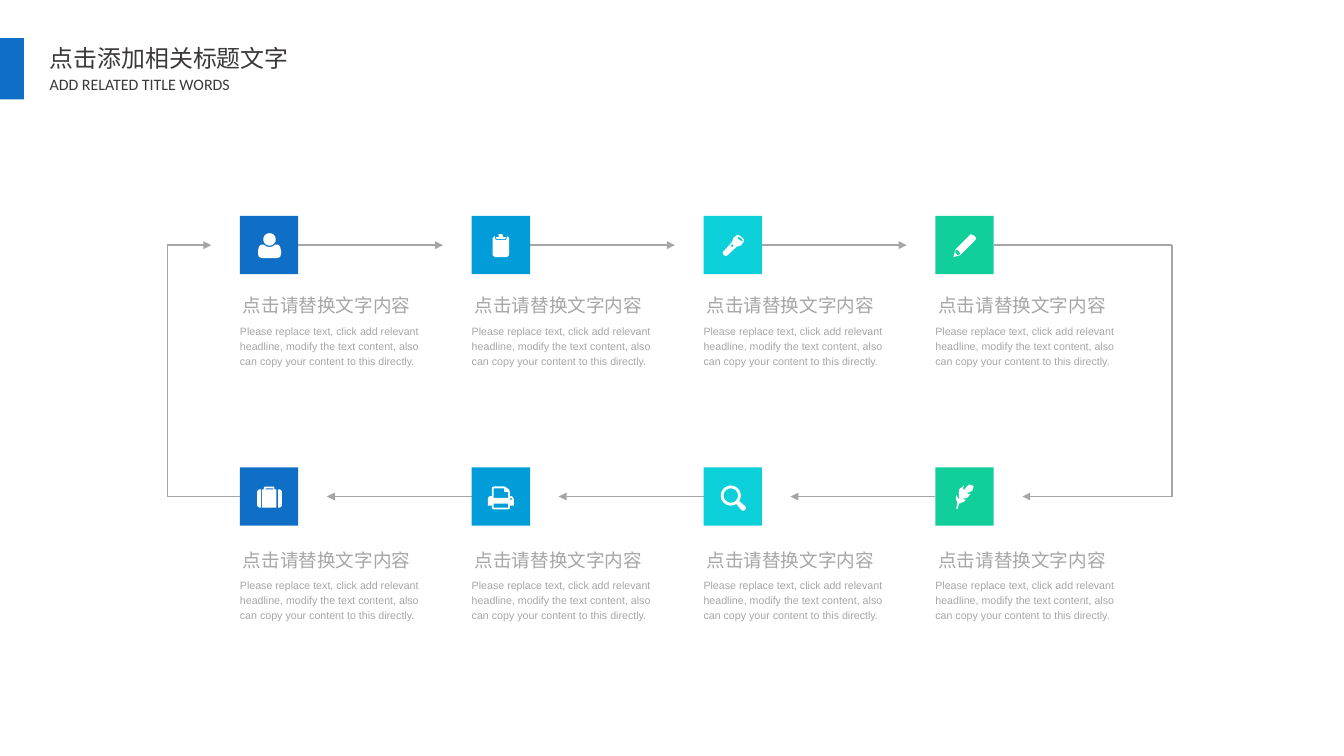
from math import cos, sin, pi

from lxml.etree import SubElement
from pptx import Presentation
from pptx.dml.color import RGBColor
from pptx.enum.shapes import MSO_CONNECTOR, MSO_SHAPE
from pptx.oxml.ns import qn
from pptx.util import Inches, Pt

TITLE = "点击添加相关标题文字"
SUBTITLE = "ADD RELATED TITLE WORDS"
HEAD = "点击请替换文字内容"
BODY = ("Please replace text, click add relevant headline, modify the text "
        "content, also can copy your content to this directly.")

BLUE = RGBColor(0x0F, 0x6F, 0xC6)
SKY = RGBColor(0x00, 0x9D, 0xD9)
CYAN = RGBColor(0x0B, 0xD0, 0xD9)
GREEN = RGBColor(0x10, 0xCF, 0x9B)
WHITE = RGBColor(0xFF, 0xFF, 0xFF)
GRAY = RGBColor(0xA6, 0xA6, 0xA6)
DARK = RGBColor(0x3B, 0x38, 0x38)
COLORS = [BLUE, SKY, CYAN, GREEN]


def ring(x, y, r):
    """Points of a circle, in hundredths of an inch."""
    return [(x + r * cos(i * pi / 16), y + r * sin(i * pi / 16))
            for i in range(32)]


# An icon is a list of parts, a part a list of outlines (the later ones are
# holes), in hundredths of an inch from the corner of its tile.
USER = [
    [ring(31, 24.5, 6.5)],
    [[(43, 36), (42, 32), (40, 30), (37, 30), (34, 32), (31, 32.5), (28, 32),
      (25, 30), (22, 30), (20, 32), (19, 36), (19, 40), (20, 43), (23, 44),
      (39, 44), (42, 43), (43, 40)]],
]
CLIP = [
    [[(37, 21), (36, 25), (25, 25), (24, 21), (22, 23), (22, 41), (24, 43),
      (37, 43), (39, 41), (39, 23)]],
    [[(35, 24), (36, 22), (33, 22), (32, 19), (28, 19), (28, 22), (25, 22),
      (26, 24)]],
]
TORCH = [
    [[(40, 22), (37, 20), (35, 20), (31, 23), (30, 27), (20, 38), (21, 41),
      (24, 42), (35, 32), (39, 31), (42, 27), (42.5, 25)],
     [(37, 25), (35, 21), (39, 23), (42, 27)],
     ring(30, 31, 1.3)],
]
PENCIL = [
    [[(41, 21), (37, 19), (21, 35), (19, 43), (26, 41), (42, 25), (42.5, 23)],
     [(26, 40), (23, 41), (21, 38), (21, 36), (22, 35), (25, 37)]],
]
CASE = [
    [[(22, 23), (20, 23), (18, 25), (18, 40), (20, 42), (22, 42)]],
    [[(36, 23), (36, 21), (35, 20), (26, 20), (25, 21), (25, 23), (23, 23),
      (23, 42), (38, 42), (38, 23)],
     [(35, 23), (27, 23), (27, 22), (35, 22)]],
    [[(40, 23), (42, 23), (44, 25), (44, 40), (42, 42), (40, 42)]],
]
PRINTER = [
    [[(43, 31), (41, 30), (40, 30), (40, 26), (39, 23), (36, 21), (34, 20),
      (23, 20), (21, 21), (21, 30), (19, 30), (17, 32), (17, 40), (21, 40),
      (21, 43), (23, 44), (38, 44), (40, 43), (40, 40), (44, 40), (44, 33)],
     [(38, 32), (23, 32), (23, 22), (34, 22), (34, 25), (35, 26), (38, 26)],
     [(38, 42), (23, 42), (23, 38), (38, 38)],
     ring(41, 33, 1)],
]
LENS = [
    [ring(28.5, 29.5, 10.5), ring(28.5, 29.5, 7.5)],
    [[(34, 38), (37, 35), (44, 41), (44.5, 43), (42, 45.5), (40, 45)]],
]
FEATHER = [
    [[(23, 44), (25, 38), (30, 36), (32, 34), (28, 33), (33, 32), (37, 28),
      (32, 27), (37, 25.5), (39, 24), (40, 20), (38, 18.5), (35, 18),
      (33, 20), (30, 24), (29, 22), (30, 19), (25, 23), (24.5, 28), (25, 34),
      (22, 29), (21.5, 33), (23, 37), (22, 43)]],
]

# Tile top, heading top, body top, icons from left to right
ROWS = [
    (2.26, 3.03, 3.37, [USER, CLIP, TORCH, PENCIL]),
    (4.89, 5.7, 6.03, [CASE, PRINTER, LENS, FEATHER]),
]
LEFT, PITCH, SIDE = 2.51, 2.425, 0.61
UPPER, LOWER = [row[0] + SIDE / 2 for row in ROWS]
WEST, EAST = 1.75, 12.26
GAP = 0.3

deck = Presentation()
deck.slide_width, deck.slide_height = Inches(14.06), Inches(7.91)
slide = deck.slides.add_slide(deck.slide_layouts[6])


def paint(shape, color):
    shape.shadow.inherit = False
    shape.fill.solid()
    shape.fill.fore_color.rgb = color
    shape.line.fill.background()


def add_rect(shapes, x, y, w, h, color):
    rect = shapes.add_shape(MSO_SHAPE.RECTANGLE, Inches(x), Inches(y),
                            Inches(w), Inches(h))
    paint(rect, color)


def add_tile(x, y, color, icon):
    shapes = slide.shapes.add_group_shape().shapes
    add_rect(shapes, x, y, SIDE, SIDE, color)
    for part in icon:
        loops = [[(Inches(x + a / 100), Inches(y + b / 100)) for a, b in loop]
                 for loop in part]
        pen = shapes.build_freeform(*loops[0][0])
        pen.add_line_segments(loops[0][1:])
        for hole in loops[1:]:
            pen.move_to(*hole[0])
            pen.add_line_segments(hole[1:])
        paint(pen.convert_to_shape(), WHITE)


def add_line(x1, y1, x2, y2, arrow=True):
    link = slide.shapes.add_connector(MSO_CONNECTOR.STRAIGHT, Inches(x1),
                                      Inches(y1), Inches(x2), Inches(y2))
    link.line.color.rgb = GRAY
    link.line.width = Pt(1)
    if arrow:
        SubElement(link.line._get_or_add_ln(), qn("a:tailEnd"),
                   type="triangle")
    SubElement(link._element.spPr, qn("a:effectLst"))


def add_text(text, x, y, w, h, size, color, font, pad=(0, 0), wrap=True,
             space=None):
    frame = slide.shapes.add_textbox(Inches(x), Inches(y), Inches(w),
                                     Inches(h)).text_frame
    frame.word_wrap = wrap
    frame.margin_left = frame.margin_right = Inches(pad[0])
    frame.margin_top = frame.margin_bottom = Inches(pad[1])
    para = frame.paragraphs[0]
    para.text = text
    para.line_spacing = space
    para.font.size = Pt(size)
    para.font.name = font
    para.font.color.rgb = color


add_rect(slide.shapes, 0, 0.4, 0.25, 0.64, BLUE)
add_text(TITLE, 0.41, 0.41, 2.74, 0.41, 18, DARK, "Noto Sans CJK SC",
         (0.11, 0.05), False)
add_text(SUBTITLE, 0.41, 0.73, 2.57, 0.31, 12, DARK, "Calibri",
         (0.11, 0.05), False)

tiles = [LEFT + i * PITCH for i in range(4)]
for here, after in zip(tiles, tiles[1:]):
    add_line(here + SIDE, UPPER, after - GAP, UPPER)
    add_line(after, LOWER, here + SIDE + GAP, LOWER)
last = tiles[-1] + SIDE
add_line(last, UPPER, EAST, UPPER, False)
add_line(EAST, UPPER, EAST, LOWER, False)
add_line(EAST, LOWER, last + GAP, LOWER)
add_line(LEFT, LOWER, WEST, LOWER, False)
add_line(WEST, LOWER, WEST, UPPER, False)
add_line(WEST, UPPER, LEFT - GAP, UPPER)

for top, head, body, icons in ROWS:
    for x, color, icon in zip(tiles, COLORS, icons):
        add_tile(x, top, color, icon)
        add_text(HEAD, x + 0.03, head, 2.49, 0.26, 14, GRAY, "Arial",
                 space=1.2)
        add_text(BODY, x, body, 2.02, 0.47, 8, GRAY, "Arial", space=1.2)

deck.save("out.pptx")
